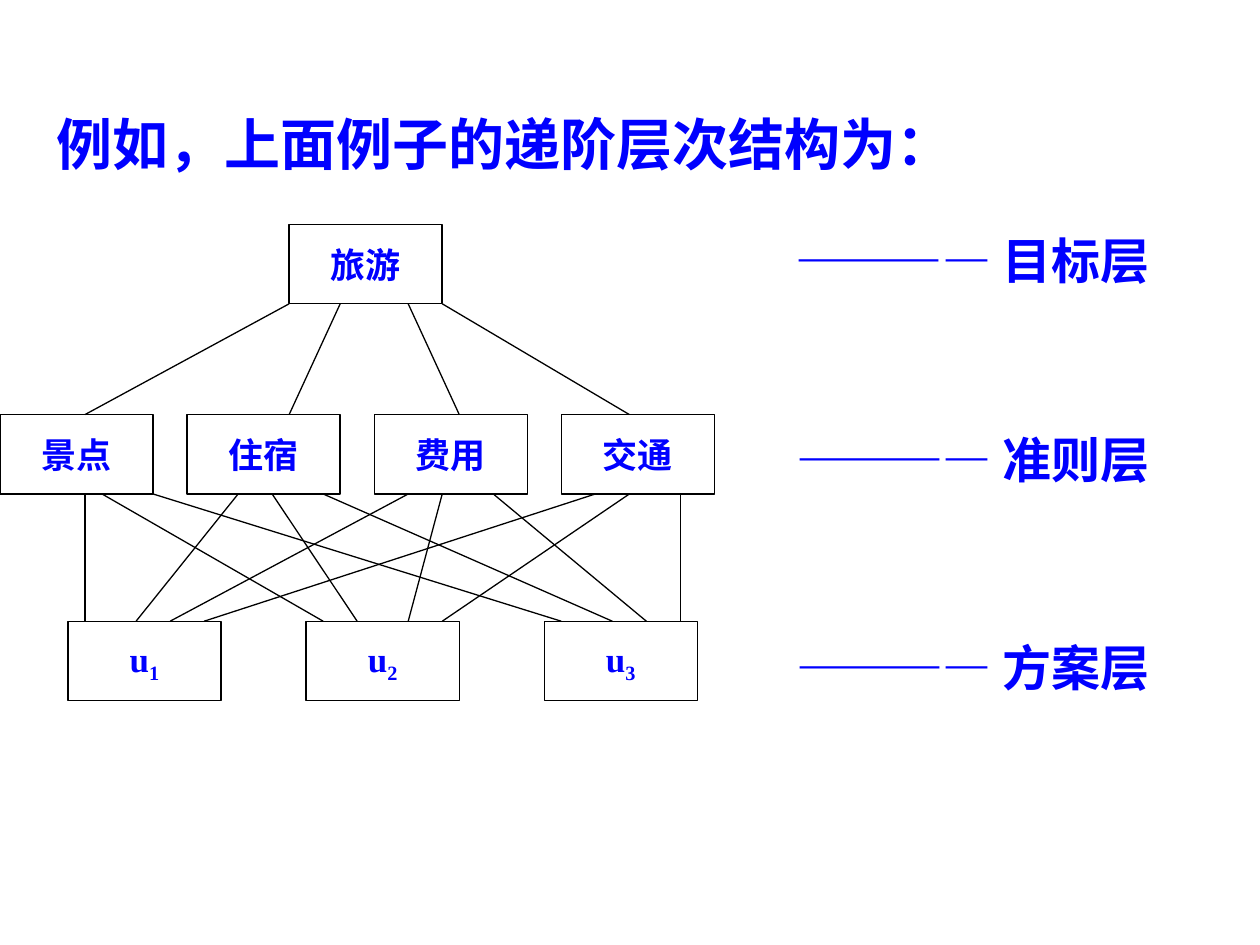
from pptx import Presentation
from pptx.dml.color import RGBColor
from pptx.enum.shapes import MSO_CONNECTOR, MSO_SHAPE
from pptx.enum.text import MSO_ANCHOR, MSO_AUTO_SIZE, PP_ALIGN
from pptx.oxml.ns import qn
from pptx.util import Pt
from lxml.etree import SubElement

UNIT = 9.72  # horizontal grid step of the tree
BOX_W, BOX_H = 9 * UNIT, 45.4
GOAL_Y, RULE_Y, PLAN_Y = 128.2, 236.9, 355
BLUE, BLACK = "0000FF", "000000"

RULES = ["景点", "住宿", "费用", "交通"]
# Grid columns of each line: upper end, lower end
GOAL_LINKS = [(17, 5), (20, 17), (24, 27), (26, 37)]
PLAN_LINKS = [
    (5, 5), (14, 8), (24, 10), (35, 12),
    (6, 19), (16, 21), (26, 24), (37, 26),
    (9, 33), (19, 36), (29, 38), (40, 40),
]
LAYERS = [("目标层", 128.2, 235.4), ("准则层", 241.9, 272.2), ("方案层", 360.7, 272.2)]


def color(code):
    return RGBColor.from_string(code)


def style(run, size, face):
    font = run.font
    font.size, font.name, font.bold = Pt(size), face, True
    font.color.rgb = color(BLUE)


def add_label(slide, text, left, top, width, height, size):
    box = slide.shapes.add_textbox(Pt(left), Pt(top), Pt(width), Pt(height))
    frame = box.text_frame
    frame.word_wrap = True
    frame.auto_size = MSO_AUTO_SIZE.SHAPE_TO_FIT_TEXT
    frame.text = text
    style(frame.paragraphs[0].runs[0], size, "Arial")


def add_node(slide, text, col, top, sub=""):
    """Draw a tree box at a grid column, with an optional subscript."""
    node = slide.shapes.add_shape(
        MSO_SHAPE.RECTANGLE, Pt(col * UNIT), Pt(top), Pt(BOX_W), Pt(BOX_H))
    node.shadow.inherit = False
    node.fill.background()
    node.line.color.rgb = color(BLACK)
    node.line.width = Pt(0.75)
    frame = node.text_frame
    frame.word_wrap = False
    frame.vertical_anchor = MSO_ANCHOR.MIDDLE
    frame.text = text
    para = frame.paragraphs[0]
    para.alignment = PP_ALIGN.CENTER
    if sub:
        run = para.add_run()
        run.text = sub
        run.font._element.set("baseline", "-25000")
    for run in para.runs:
        style(run, 20, "Times New Roman")


def add_links(slide, links, top, end):
    for high, low in links:
        line = slide.shapes.add_connector(
            MSO_CONNECTOR.STRAIGHT,
            Pt(low * UNIT), Pt(end), Pt(high * UNIT), Pt(top))
        line.line.color.rgb = color(BLACK)
        line.line.width = Pt(0.75)
        SubElement(line._element.spPr, qn("a:effectLst"))


def main():
    deck = Presentation()
    deck.slide_width, deck.slide_height = Pt(720), Pt(540)
    slide = deck.slides.add_slide(deck.slide_layouts[6])

    add_label(slide, "例如，上面例子的递阶层次结构为：", 25.2, 59, 589.7, 46, 32)

    add_node(slide, "旅游", 17, GOAL_Y)
    for i, name in enumerate(RULES):
        add_node(slide, name, 11 * i, RULE_Y)
    for i in range(3):
        add_node(slide, "u", 4 + 14 * i, PLAN_Y, str(i + 1))

    add_links(slide, GOAL_LINKS, GOAL_Y + BOX_H, RULE_Y)
    add_links(slide, PLAN_LINKS, RULE_Y + BOX_H, PLAN_Y)

    for name, top, width in LAYERS:
        add_label(slide, f"———— {name}", 447.8, top, width, 41, 28)

    deck.save("out.pptx")


if __name__ == "__main__":
    main()
